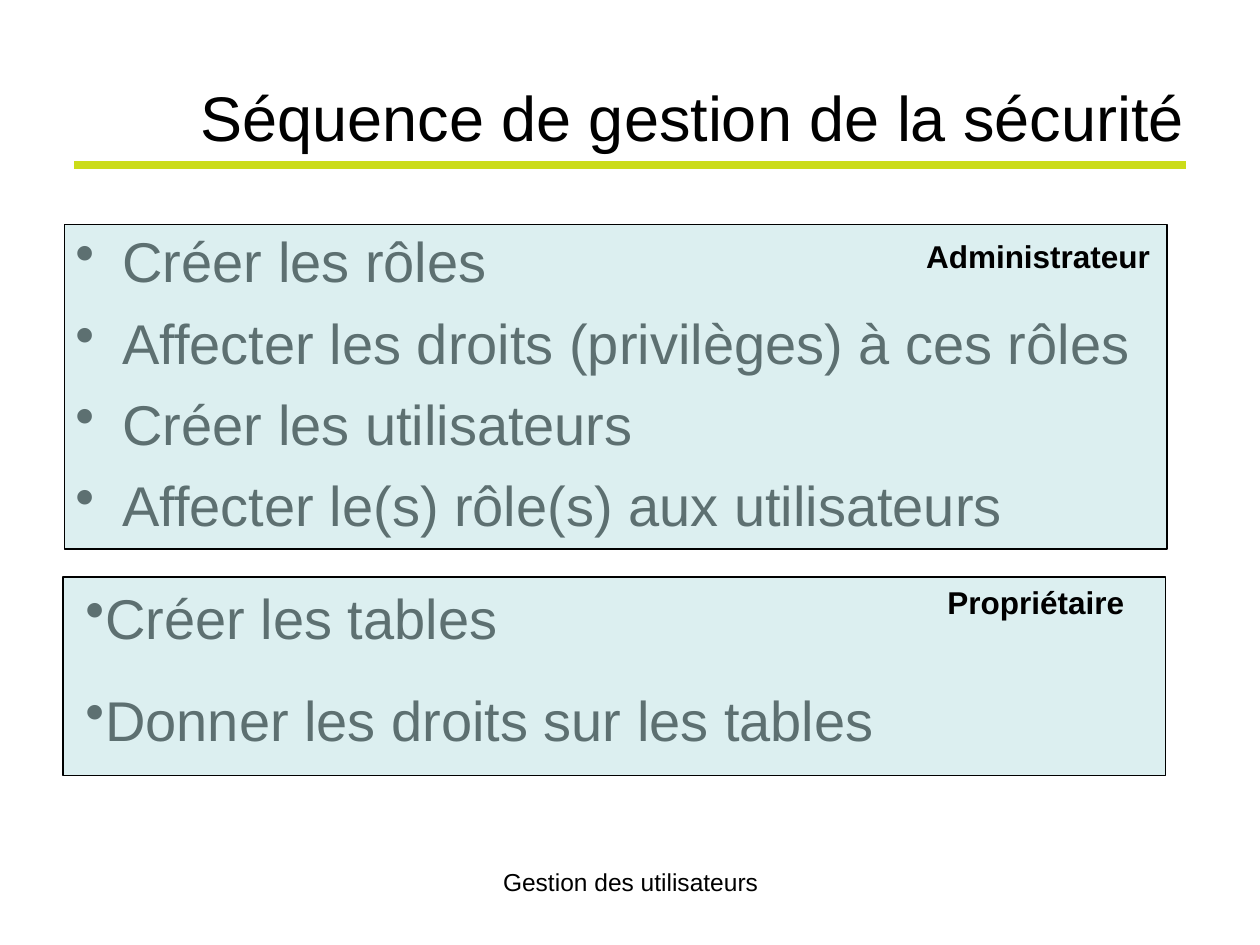
from lxml.etree import SubElement
from pptx import Presentation
from pptx.dml.color import RGBColor
from pptx.enum.shapes import MSO_CONNECTOR, MSO_SHAPE
from pptx.enum.text import MSO_ANCHOR, PP_ALIGN
from pptx.oxml.ns import qn
from pptx.util import Cm, Pt

COLORS = {"text": "000000", "rule": "CBDC1A", "panel": "BBE0E3"}
FORMATS = {
    "title": {"size": Pt(36)},
    "step": {"size": Pt(32)},
    "role": {"size": Pt(18), "bold": True},
    "footer": {"size": Pt(14)},
}


class SecuritySlide:
    """Holds the style and the slide, and draws each kind of element."""

    def __init__(self, slide):
        self.slide = slide

    def color(self, name):
        return RGBColor.from_string(COLORS[name])

    def rule(self, left, right, top):
        rule = self.slide.shapes.add_connector(
            MSO_CONNECTOR.STRAIGHT, Cm(left), Cm(top), Cm(right), Cm(top))
        rule.line.color.rgb = self.color("rule")
        rule.line.width = Pt(4.5)
        SubElement(rule._element.spPr, qn("a:effectLst"))

    def text(self, area, lines, style, align=PP_ALIGN.LEFT,
             anchor=MSO_ANCHOR.TOP, gap=0, hanging=None):
        frame = self.slide.shapes.add_textbox(*map(Cm, area)).text_frame
        frame.word_wrap = True
        frame.vertical_anchor = anchor
        for index, line in enumerate(lines):
            paragraph = frame.paragraphs[0] if index == 0 else frame.add_paragraph()
            paragraph.text = line
            paragraph.alignment = align
            if index:
                paragraph.space_before = Pt(gap)
            if hanging is not None:
                self.bullet(paragraph, hanging)
            for name, value in FORMATS[style].items():
                setattr(paragraph.font, name, value)
            paragraph.font.name = "Arial"
            paragraph.font.color.rgb = self.color("text")

    def bullet(self, paragraph, hanging):
        properties = paragraph._p.get_or_add_pPr()
        properties.set("marL", str(Cm(hanging)))
        properties.set("indent", str(-Cm(hanging)))
        SubElement(properties, qn("a:buChar"), char="•")

    def panel(self, area):
        panel = self.slide.shapes.add_shape(MSO_SHAPE.RECTANGLE, *map(Cm, area))
        panel.shadow.inherit = False
        panel.fill.solid()
        panel.fill.fore_color.rgb = self.color("panel")
        tint = panel._element.spPr.find(f"{qn('a:solidFill')}/{qn('a:srgbClr')}")
        SubElement(tint, qn("a:alpha"), val="50000")
        panel.line.color.rgb = self.color("text")
        panel.line.width = Pt(0.75)


def main():
    presentation = Presentation()
    presentation.slide_width, presentation.slide_height = Cm(25.4), Cm(19.05)
    page = SecuritySlide(presentation.slides.add_slide(presentation.slide_layouts[6]))

    page.rule(1.5, 23.9, 3.33)
    page.text((8.69, 17.35, 8.05, 1.32), ["Gestion des utilisateurs"], "footer",
              align=PP_ALIGN.CENTER)
    page.text((1.27, 0.76, 22.86, 3.18), ["Séquence de gestion de la sécurité"],
              "title", align=PP_ALIGN.RIGHT, anchor=MSO_ANCHOR.MIDDLE)

    page.text((1.27, 4.45, 22.86, 12.57), [
        "Créer les rôles",
        "Affecter les droits (privilèges) à ces rôles",
        "Créer les utilisateurs",
        "Affecter le(s) rôle(s) aux utilisateurs",
    ], "step", gap=8, hanging=0.95)
    page.panel((1.3, 4.52, 22.23, 6.55))
    page.text((18.42, 4.65, 5.08, 1.02), ["Administrateur"], "role")

    page.text((1.47, 11.63, 22.23, 3.68),
              ["Créer les tables", "Donner les droits sur les tables"],
              "step", gap=20, hanging=0)
    page.panel((1.27, 11.63, 22.23, 4.01))
    page.text((18.85, 11.63, 5.08, 1.02), ["Propriétaire"], "role")

    presentation.save("out.pptx")


if __name__ == "__main__":
    main()
